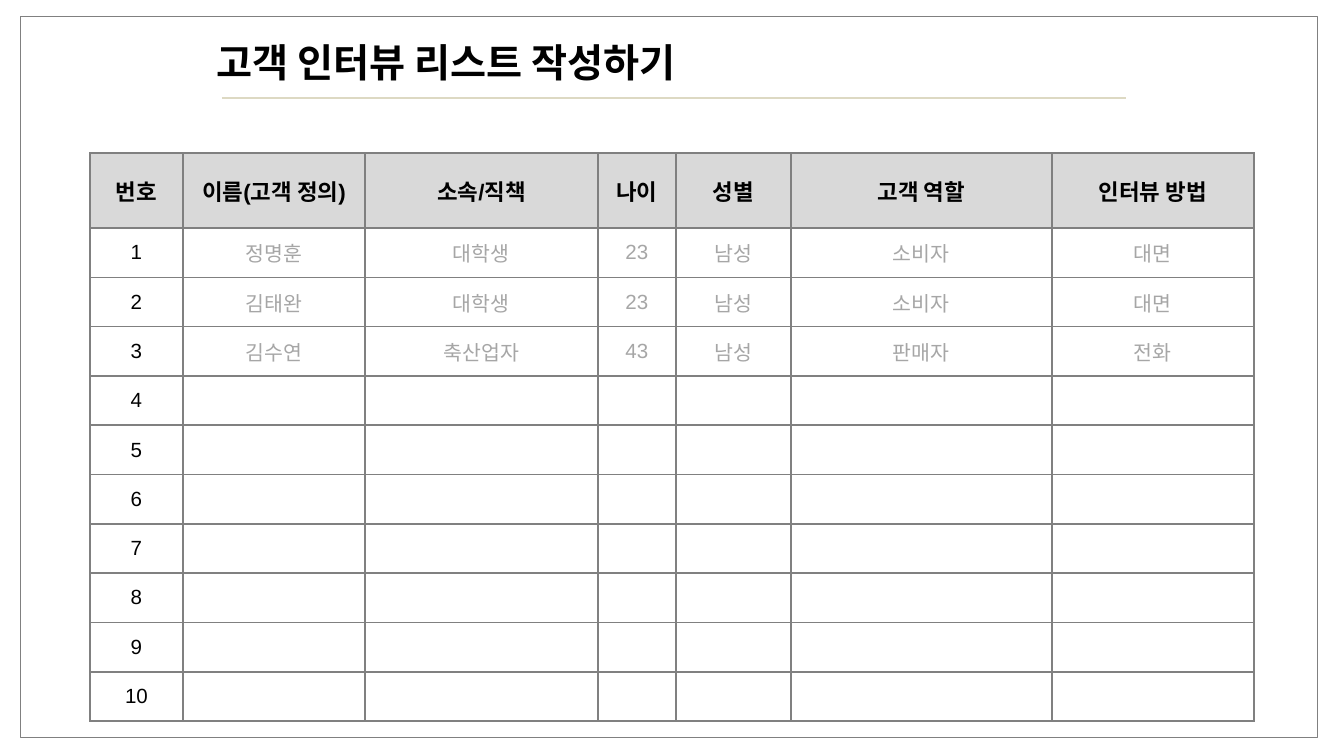
from lxml.etree import Element, SubElement
from pptx import Presentation
from pptx.dml.color import RGBColor
from pptx.enum.shapes import MSO_CONNECTOR, MSO_SHAPE
from pptx.enum.text import MSO_ANCHOR, PP_ALIGN
from pptx.oxml.ns import qn
from pptx.util import Emu, Pt

LINE = MSO_CONNECTOR.STRAIGHT
RECT = MSO_SHAPE.RECTANGLE
ROUND = MSO_SHAPE.ROUNDED_RECTANGLE
MIDDLE = MSO_ANCHOR.MIDDLE
LEFT, CENTER = PP_ALIGN.LEFT, PP_ALIGN.CENTER

WIDE, HIGH = 1344, 756
SCALE = 9144000 / WIDE
KOREAN, LATIN = "Noto Sans CJK KR", "Arial"
COLORS = {"ink": "000000", "hint": "A6A6A6", "head": "D9D9D9",
          "grid": "808080", "rule": "DDD9C3"}

COLS = [93, 182, 233, 78, 115, 261, 202]
HEADS = ["번호", "이름(고객 정의)", "소속/직책", "나이", "성별", "고객 역할", "인터뷰 방법"]
PEOPLE = [
    ["정명훈", "대학생", "23", "남성", "소비자", "대면"],
    ["김태완", "대학생", "23", "남성", "소비자", "대면"],
    ["김수연", "축산업자", "43", "남성", "판매자", "전화"],
]
COUNT = 10


def px(n):
    return Emu(round(n * SCALE))


def color(name):
    return RGBColor.from_string(COLORS[name])


def write(frame, text, size, tint, bold, align):
    para = frame.paragraphs[0]
    para.alignment = align
    para.font.size = Pt(size)
    para.font.bold = bold
    para.font.color.rgb = color(tint)
    para.font.name = LATIN
    props = para._p.find(".//" + qn("a:defRPr"))
    SubElement(props, qn("a:ea"), typeface=KOREAN)
    if text:
        para.add_run().text = text
    else:
        SubElement(para._p, qn("a:endParaRPr"), sz=str(size * 100))


def edge(cell):
    props = cell._tc.get_or_add_tcPr()
    for i, side in enumerate(("lnL", "lnR", "lnT", "lnB")):
        line = Element(qn("a:" + side), w=str(Pt(1)))
        fill = SubElement(line, qn("a:solidFill"))
        SubElement(fill, qn("a:srgbClr"), val=COLORS["grid"])
        props.insert(i, line)


def draw_frame(slide, x, y, w, h):
    frame = slide.shapes.add_shape(RECT, px(x), px(y), px(w), px(h))
    frame.shadow.inherit = False
    frame.fill.background()
    frame.line.color.rgb = color("grid")
    frame.line.width = Pt(0.5)


def draw_title(slide, x, y, w, h):
    rule = slide.shapes.add_connector(
        LINE, px(x + 19), px(y + h + 8), px(x + 923), px(y + h + 8))
    rule.line.color.rgb = color("rule")
    rule.line.width = Pt(0.75)
    SubElement(rule._element.spPr, qn("a:effectLst"))

    box = slide.shapes.add_shape(ROUND, px(x), px(y), px(w), px(h))
    box.adjustments[0] = 0
    box.shadow.inherit = False
    box.fill.background()
    box.line.fill.background()
    box.text_frame.vertical_anchor = MIDDLE
    write(box.text_frame, "고객 인터뷰 리스트 작성하기", 21, "ink", True, LEFT)


def draw_list(slide, x, y, w, h):
    blank = [""] * (len(HEADS) - 1)
    people = PEOPLE + [blank] * (COUNT - len(PEOPLE))
    rows = [HEADS] + [[str(i), *who] for i, who in enumerate(people, 1)]
    table = slide.shapes.add_table(
        len(rows), len(COLS), px(x), px(y), px(w), px(h)).table
    for col, wide in zip(table.columns, COLS):
        col.width = px(wide)
    for r, row in enumerate(rows):
        table.rows[r].height = px(h / len(rows))
        for c, text in enumerate(row):
            cell = table.cell(r, c)
            cell.vertical_anchor = MIDDLE
            cell.margin_left = cell.margin_right = px(12)
            cell.margin_top = cell.margin_bottom = px(5)
            if r == 0:
                cell.fill.solid()
                cell.fill.fore_color.rgb = color("head")
            else:
                cell.fill.background()
            edge(cell)
            tint = "hint" if r and c else "ink"
            write(cell.text_frame, text, 11 if r else 12, tint, r == 0, CENTER)


def main():
    deck = Presentation()
    deck.slide_width, deck.slide_height = px(WIDE), px(HIGH)
    slide = deck.slides.add_slide(deck.slide_layouts[6])
    draw_frame(slide, 21, 17, 1297, 721)
    draw_title(slide, 203, 34, 696, 56)
    draw_list(slide, 90, 153, sum(COLS), 543)
    deck.save("out.pptx")


if __name__ == "__main__":
    main()
